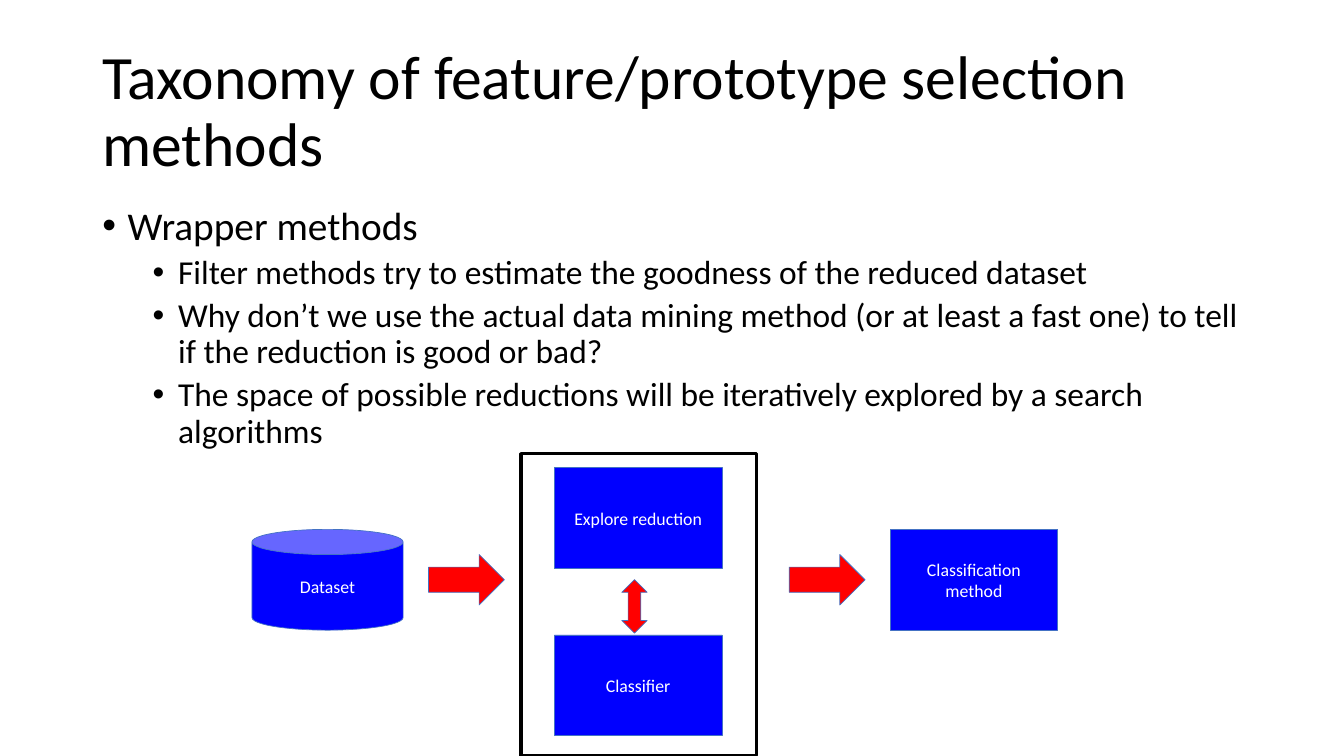
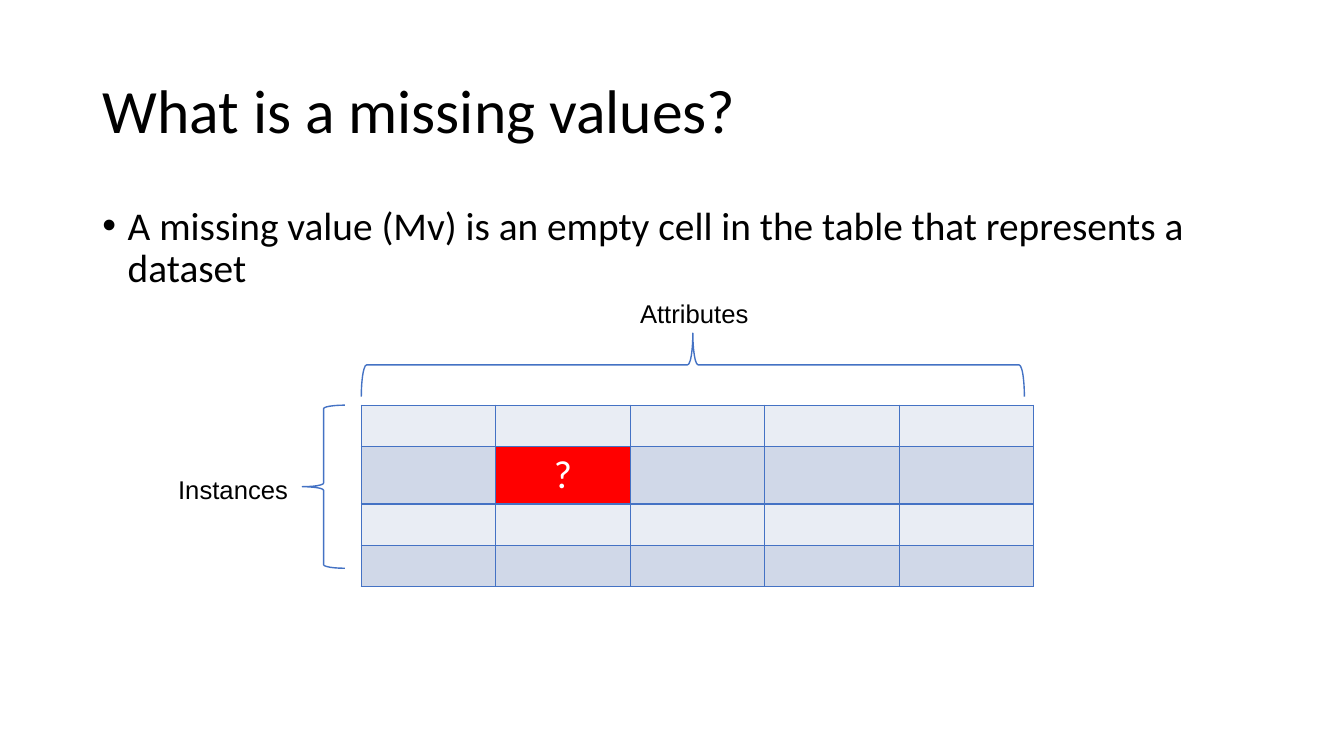
import pptx
import pptx.util
import pptx.dml.color
import pptx.enum.shapes
import pptx.enum.text
import pptx.oxml
import pptx.oxml.ns

Cm = pptx.util.Cm
Pt = pptx.util.Pt
KIND = pptx.enum.shapes.MSO_SHAPE
ALIGN = pptx.enum.text.PP_ALIGN
ANCHOR = pptx.enum.text.MSO_ANCHOR
FIT = pptx.enum.text.MSO_AUTO_SIZE

COLORS = {
    "ink": "000000", "white": "FFFFFF", "box": "0000FF", "mark": "FF0000",
    "line": "4472C4", "light": "E9EDF4", "dark": "D0D8E8",
}
FONT = "Calibri"
LEFT, WIDTH = 2.33, 29.21
LEVELS = [
    {"size": 28.1, "margin": 0.64, "before": 10},
    {"size": 23.9, "margin": 1.91, "before": 5},
]

WRAPPER = {
    "title": "Taxonomy of feature/prototype selection methods",
    "points": [
        (0, "Wrapper methods"),
        (1, "Filter methods try to estimate the goodness of the reduced dataset"),
        (1, "Why don’t we use the actual data mining method (or at least a fast one) "
            "to tell if the reduction is good or bad?"),
        (1, "The space of possible reductions will be iteratively explored by a search algorithms"),
    ],
}
MISSING = {
    "title": "What is a missing values?",
    "points": [
        (0, "A missing value (Mv) is an empty cell in the table that represents a dataset"),
    ],
}

AXIS = 14.61
BOX = (4.23, 2.54)
STEPS = [
    (KIND.CAN, 6.35, AXIS, 3.81, 2.54, "Dataset"),
    (KIND.RECTANGLE, 13.97, 13.06, *BOX, "Explore reduction"),
    (KIND.RECTANGLE, 13.97, 17.27, *BOX, "Classifier"),
    (KIND.RECTANGLE, 22.43, AXIS, *BOX, "Classification method"),
]
ARROWS = [
    (KIND.RIGHT_ARROW, 10.8, AXIS, 1.91, 1.27),
    (KIND.RIGHT_ARROW, 19.89, AXIS, 1.91, 1.27),
    (KIND.UP_DOWN_ARROW, 15.67, 15.28, 0.64, 1.35),
]
FRAME = (13.13, 11.43, 5.93, 7.62)

GRID = [["", "", "", "", ""], ["", "?", "", "", ""], ["", "", "", "", ""], ["", "", "", "", ""]]
ROWS = [1.04, 1.45, 1.04, 1.04]
COL = 3.39
TABLE = (9.1, 10.21)
BRACES = [(7.62, 10.21, 1.07, 4.11, 0), (16.66, 0.84, 1.6, 16.71, 90)]
LABELS = [("Instances", 4.24, 11.81, 3.3), ("Attributes", 15.88, 7.37, 3.28)]


def rgb(name):
    return pptx.dml.color.RGBColor.from_string(COLORS[name])


def style(para, size, color="ink", font=FONT, align=None):
    para.font.name = font
    para.font.size = Pt(size)
    para.font.color.rgb = rgb(color)
    para.alignment = align


def bullet(para, margin):
    props = para._p.get_or_add_pPr()
    props.set("marL", str(Cm(margin)))
    props.set("indent", str(-Cm(0.64)))
    font = pptx.oxml.parse_xml(f'<a:buFont {pptx.oxml.ns.nsdecls("a")} typeface="Arial"/>')
    char = pptx.oxml.parse_xml(f'<a:buChar {pptx.oxml.ns.nsdecls("a")} char="•"/>')
    props.extend([font, char])


def start(deck, content):
    slide = deck.slides.add_slide(deck.slide_layouts[5])
    title = slide.shapes.title
    title.left, title.top, title.width, title.height = map(Cm, (LEFT, 1.01, WIDTH, 3.68))
    frame = title.text_frame
    frame.text = content["title"]
    frame.auto_size = FIT.NONE
    frame.word_wrap = True
    frame.vertical_anchor = ANCHOR.MIDDLE
    style(frame.paragraphs[0], 44, align=ALIGN.LEFT)
    frame.paragraphs[0].line_spacing = 0.9

    body = slide.shapes.add_textbox(*map(Cm, (LEFT, 5.07, WIDTH, 12.09))).text_frame
    body.word_wrap = True
    for i, (level, text) in enumerate(content["points"]):
        para = body.add_paragraph() if i else body.paragraphs[0]
        look = LEVELS[level]
        para.text = text
        para.level = level
        style(para, look["size"])
        para.line_spacing = 0.9
        para.space_before = Pt(look["before"])
        bullet(para, look["margin"])
    return slide


def shape(slide, kind, place, fill=None, line="line", weight=0.5, text=""):
    item = slide.shapes.add_shape(kind, *map(Cm, place))
    item.shadow.inherit = False
    if fill:
        item.fill.solid()
        item.fill.fore_color.rgb = rgb(fill)
    else:
        item.fill.background()
    item.line.color.rgb = rgb(line)
    item.line.width = Pt(weight)
    if text:
        frame = item.text_frame
        frame.text = text
        frame.word_wrap = True
        frame.vertical_anchor = ANCHOR.MIDDLE
        style(frame.paragraphs[0], 12.7, "white", align=ALIGN.CENTER)
    return item


def border(cell):
    props = cell._tc.get_or_add_tcPr()
    for side in ("lnL", "lnR", "lnT", "lnB"):
        props.append(pptx.oxml.parse_xml(
            f'<a:{side} {pptx.oxml.ns.nsdecls("a")} w="{Pt(1)}"><a:solidFill>'
            f'<a:srgbClr val="{COLORS["line"]}"/></a:solidFill></a:{side}>'))


def flow(slide):
    for kind, left, mid, wide, high, text in STEPS:
        shape(slide, kind, (left, mid - high / 2, wide, high), "box", text=text)
    for kind, left, mid, wide, high in ARROWS:
        shape(slide, kind, (left, mid - high / 2, wide, high), "mark")
    shape(slide, KIND.RECTANGLE, FRAME, line="ink", weight=2.25)


def dataset(slide):
    count = len(GRID[0])
    size = (COL * count, sum(ROWS))
    table = slide.shapes.add_table(len(GRID), count, *map(Cm, TABLE + size)).table
    table.first_row = table.horz_banding = False
    for col in table.columns:
        col.width = Cm(COL)
    for r, (high, texts) in enumerate(zip(ROWS, GRID)):
        table.rows[r].height = Cm(high)
        for c, text in enumerate(texts):
            cell = table.cell(r, c)
            border(cell)
            cell.fill.solid()
            cell.fill.fore_color.rgb = rgb("mark" if text else ("light", "dark")[r % 2])
            if text:
                cell.text = text
                style(cell.text_frame.paragraphs[0], 28, "white", align=ALIGN.CENTER)


def notes(slide):
    for *place, turn in BRACES:
        shape(slide, KIND.LEFT_BRACE, place, weight=1).rotation = turn
    for text, left, top, wide in LABELS:
        frame = slide.shapes.add_textbox(*map(Cm, (left, top, wide, 1.04))).text_frame
        frame.text = text
        frame.word_wrap = False
        frame.auto_size = FIT.SHAPE_TO_FIT_TEXT
        style(frame.paragraphs[0], 18.3, font="Arial")


def main():
    deck = pptx.Presentation()
    deck.slide_width, deck.slide_height = Cm(33.87), Cm(19.05)
    flow(start(deck, WRAPPER))
    slide = start(deck, MISSING)
    dataset(slide)
    notes(slide)
    deck.save("out.pptx")


if __name__ == "__main__":
    main()
